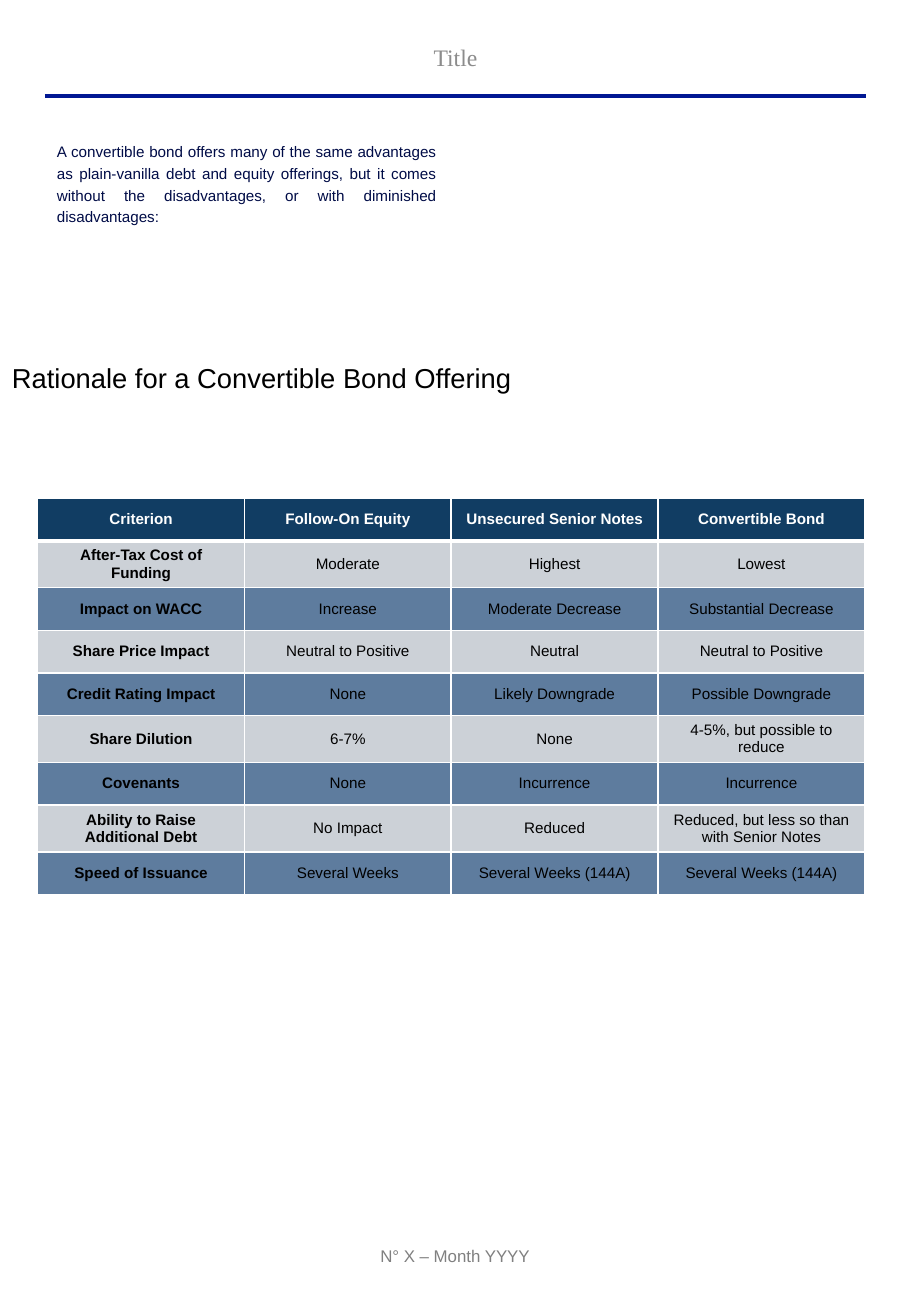
from lxml import etree
from pptx import Presentation, util as u
from pptx.dml.color import RGBColor
from pptx.enum import shapes, text
from pptx.oxml.ns import qn

WHITE = RGBColor(0xFF, 0xFF, 0xFF)
BLACK = RGBColor(0x00, 0x00, 0x00)
GREY = RGBColor(0x80, 0x80, 0x80)
LIGHT_GREY = RGBColor(0x8C, 0x8C, 0x8C)
RULE_BLUE = RGBColor(0x01, 0x18, 0x93)
INK = RGBColor(0x00, 0x0C, 0x47)
HEADER = RGBColor(0x11, 0x3D, 0x63)
BANDS = (RGBColor(0xCC, 0xD1, 0xD7), RGBColor(0x5E, 0x7C, 0x9E))
COLS, ROWS = 75, 108.3
LEFT, CENTER, JUSTIFY = text.PP_ALIGN.LEFT, text.PP_ALIGN.CENTER, text.PP_ALIGN.JUSTIFY
TOP, MIDDLE = text.MSO_ANCHOR.TOP, text.MSO_ANCHOR.MIDDLE

CRITERIA = [
    ("Criterion", "Follow-On Equity", "Unsecured Senior Notes", "Convertible Bond"),
    ("After-Tax Cost of Funding", "Moderate", "Highest", "Lowest"),
    ("Impact on WACC", "Increase", "Moderate Decrease", "Substantial Decrease"),
    ("Share Price Impact", "Neutral to Positive", "Neutral", "Neutral to Positive"),
    ("Credit Rating Impact", "None", "Likely Downgrade", "Possible Downgrade"),
    ("Share Dilution", "6-7%", "None", "4-5%, but possible to reduce"),
    ("Covenants", "None", "Incurrence", "Incurrence"),
    ("Ability to Raise Additional Debt", "No Impact", "Reduced",
     "Reduced, but less so than with Senior Notes"),
    ("Speed of Issuance", "Several Weeks", "Several Weeks (144A)", "Several Weeks (144A)"),
]
TALL_ROWS = (1, 5, 7)


class Page:
    """Draws styled elements on one slide, placed on a grid of columns and rows."""

    def __init__(self, prs):
        self.col = prs.slide_width / COLS
        self.row = prs.slide_height / ROWS
        self.s = prs.slides.add_slide(prs.slide_layouts[6])

    def x(self, cols):
        return u.Emu(round(cols * self.col))

    def y(self, rows):
        return u.Emu(round(rows * self.row))

    def style(self, p, size, color, align, name="Arial", bold=False):
        p.alignment = align
        p.font.name, p.font.size, p.font.bold = name, u.Pt(size), bold
        p.font.color.rgb = color

    def label(self, words, left, top, width, height, size, color,
              align=CENTER, anchor=MIDDLE, name="Arial"):
        sp = self.s.shapes.add_textbox(self.x(left), self.y(top), self.x(width), self.y(height))
        tf = sp.text_frame
        tf.word_wrap, tf.vertical_anchor = True, anchor
        p = tf.paragraphs[0]
        p.text = words
        self.style(p, size, color, align, name)
        return tf

    def columns(self, tf, count, gap):
        body = tf._txBody.bodyPr
        body.set("numCol", str(count))
        body.set("spcCol", str(self.x(gap)))

    def rule(self, left, right, top, color, weight):
        ln = self.s.shapes.add_connector(shapes.MSO_CONNECTOR.STRAIGHT, self.x(left),
                                         self.y(top), self.x(right), self.y(top))
        ln.line.color.rgb, ln.line.width = color, u.Pt(weight)
        etree.SubElement(ln._element.spPr, qn("a:effectLst"))

    def border(self, cell, side, weight):
        ln = etree.SubElement(cell._tc.get_or_add_tcPr(), qn(f"a:ln{side}"), w=str(u.Pt(weight)))
        fill = etree.SubElement(ln, qn("a:solidFill"))
        etree.SubElement(fill, qn("a:srgbClr"), val=str(WHITE))

    def cell(self, cell, words, i, j):
        cell.margin_left = cell.margin_right = u.Inches(0.09)
        cell.margin_top = cell.margin_bottom = u.Inches(0.04)
        cell.vertical_anchor = MIDDLE
        for side in "LRTB":
            under_header = (i, side) in ((0, "B"), (1, "T"))
            self.border(cell, side, 3 if under_header else 1)
        cell.fill.solid()
        cell.fill.fore_color.rgb = BANDS[(i - 1) % 2] if i else HEADER
        p = cell.text_frame.paragraphs[0]
        p.text = words
        self.style(p, 9, BLACK if i else WHITE, CENTER, bold=i == 0 or j == 0)

    def table(self, rows, left, top, width, row_height, tall_height, tall):
        heights = [tall_height if i in tall else row_height for i in range(len(rows))]
        n = len(rows[0])
        tb = self.s.shapes.add_table(len(rows), n, self.x(left), self.y(top),
                                     self.x(width), self.y(sum(heights))).table
        tb.horz_banding = False
        for column in tb.columns:
            column.width = self.x(width / n)
        for i, row in enumerate(rows):
            tb.rows[i].height = self.y(heights[i])
            for j, words in enumerate(row):
                self.cell(tb.cell(i, j), words, i, j)


def main():
    prs = Presentation()
    prs.slide_width, prs.slide_height = u.Inches(7.5), u.Inches(10.83)
    page = Page(prs)
    page.label("Title", 25.6, 3.1, 23.8, 3.2, 14, LIGHT_GREY, name="Times New Roman")
    page.rule(3.7, 71.3, 7.9, RULE_BLUE, 2.5)
    intro = page.label(
        "A convertible bond offers many of the same advantages as plain-vanilla debt and equity "
        "offerings, but it comes without the disadvantages, or with diminished disadvantages:",
        3.7, 10.9, 67.5, 88.3, 9, INK, JUSTIFY, TOP)
    intro.paragraphs[0].line_spacing = 1.2
    intro.paragraphs[0].space_after = u.Pt(7.5)
    page.columns(intro, 2, 3.1)
    page.label("N° X – Month YYYY", 28.7, 101.7, 17.5, 3.3, 10, GREY)
    page.label("Rationale for a Convertible Bond Offering", 0, 29.2, 67.5, 3, 16.2, BLACK,
               JUSTIFY, TOP)
    page.table(CRITERIA, 3.1, 41, 68.1, 3.5, 3.87, TALL_ROWS)
    prs.save("out.pptx")


if __name__ == "__main__":
    main()
